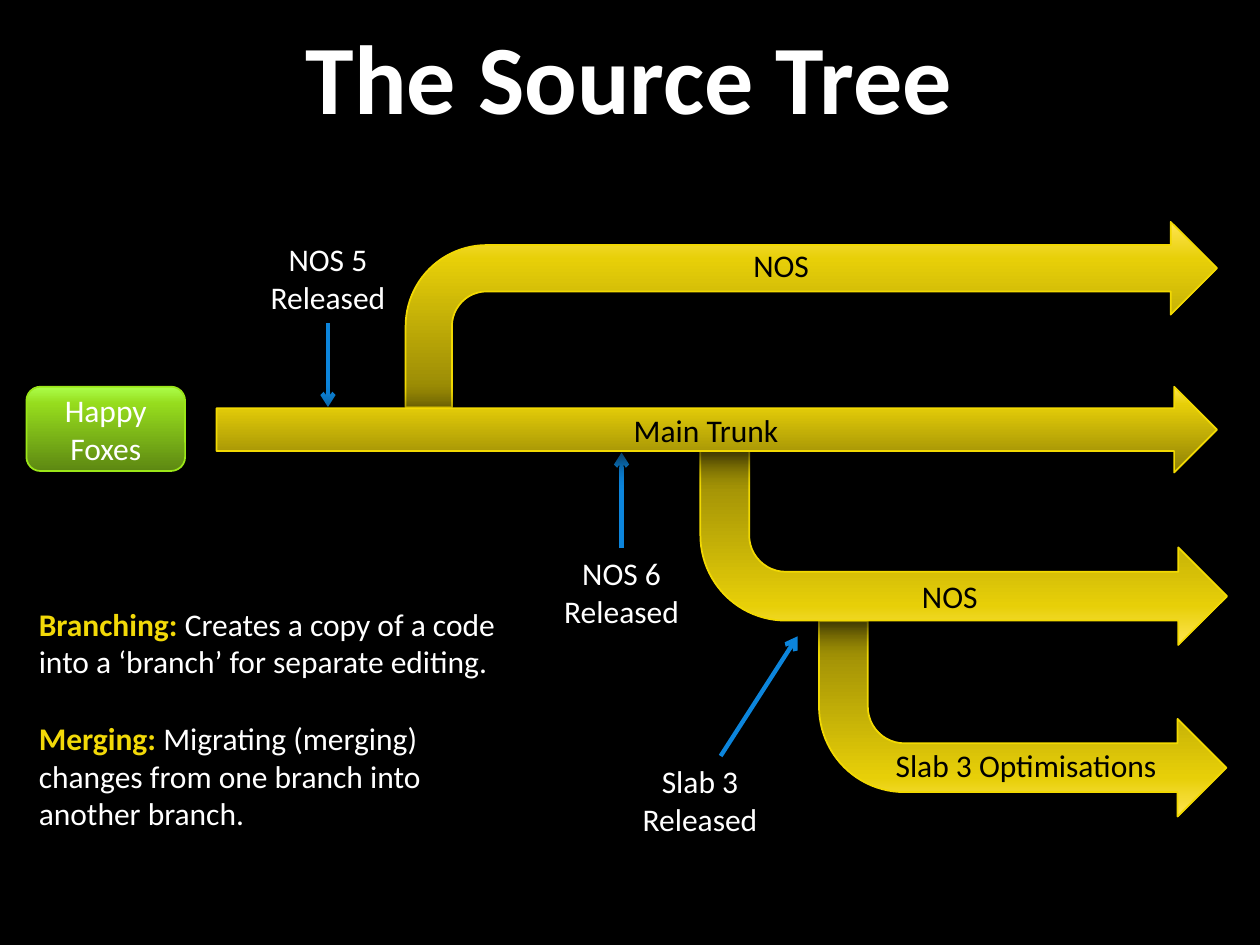
from copy import deepcopy

from lxml.etree import SubElement
from pptx import Presentation
from pptx.dml.color import RGBColor
from pptx.enum.shapes import MSO_CONNECTOR as Connector, MSO_SHAPE as Preset
from pptx.enum.text import MSO_ANCHOR as Anchor, PP_ALIGN as Align
from pptx.oxml.ns import qn
from pptx.util import Pt

FONT = "Calibri"
WHITE, BLACK, YELLOW, BLUE = "FFFFFF", "000000", "F2D908", "0C85DC"
GOLD_STOPS, GOLD_LINE = ("8F8105", "E7CF08", "FFE552"), "F2D902"
GREEN_STOPS, GREEN_LINE = ("5D8812", "96DC1D", "ACFF4A"), "9BE618"


def paint(color_format, value):
    color_format.rgb = RGBColor.from_string(value)


def add_run(paragraph, text, color, size=18, bold=False):
    run = paragraph.add_run()
    run.text = text
    run.font.name = FONT
    run.font.size = Pt(size)
    run.font.bold = bold
    paint(run.font.color, color)


def add_text_box(slide, left, top, width, height, paragraphs, align=Align.LEFT,
                 wrap=True, size=18, anchor=Anchor.TOP, gap=0):
    """Each paragraph is a list of (text, color, bold) runs."""
    box = slide.shapes.add_textbox(Pt(left), Pt(top), Pt(width), Pt(height))
    frame = box.text_frame
    frame.word_wrap = wrap
    frame.vertical_anchor = anchor
    for index, runs in enumerate(paragraphs):
        paragraph = frame.add_paragraph() if index else frame.paragraphs[0]
        paragraph.alignment = align
        if index:
            paragraph.space_before = Pt(gap)
        for text, color, bold in runs:
            add_run(paragraph, text, color, size, bold)
    return box


def add_label(slide, left, top, width, text):
    add_text_box(slide, left, top, width, 29, [[(text, BLACK, False)]], wrap=False)


def add_release(slide, left, top, name):
    lines = [[(text, WHITE, False)] for text in (name, "Released")]
    return add_text_box(slide, left, top, 90, 51, lines, Align.CENTER)


def set_gradient(shape, colors):
    """Three stops, running from the bottom edge to the top edge."""
    shape.fill.gradient()
    shape.fill.gradient_angle = 90
    stop_list = shape._element.spPr.find(qn("a:gradFill")).find(qn("a:gsLst"))
    stop_list.append(deepcopy(stop_list[-1]))
    for stop, color, position in zip(shape.fill.gradient_stops, colors, (0, 0.8, 1)):
        paint(stop.color, color)
        stop.position = position


def set_shadow(shape):
    shape.shadow.inherit = False
    effects = shape._element.spPr.find(qn("a:effectLst"))
    shadow = SubElement(effects, qn("a:outerShdw"), blurRad=str(Pt(18)),
                        dist=str(Pt(3)), dir="5400000", rotWithShape="0")
    color = SubElement(shadow, qn("a:srgbClr"), val=BLACK)
    SubElement(color, qn("a:alpha"), val="80000")


def add_glossy_shape(slide, preset, left, top, width, height, text="",
                     text_color=BLACK, stops=GOLD_STOPS, line=GOLD_LINE, flip=False):
    shape = slide.shapes.add_shape(preset, Pt(left), Pt(top), Pt(width), Pt(height))
    set_gradient(shape, stops)
    paint(shape.line.fill_format.fore_color if hasattr(shape.line, "fill_format")
          else shape.line.color, line)
    shape.line.width = Pt(1)
    set_shadow(shape)
    if flip:
        shape._element.spPr.find(qn("a:xfrm")).set("flipV", "1")
    if text:
        shape.text_frame.vertical_anchor = Anchor.MIDDLE
        paragraph = shape.text_frame.paragraphs[0]
        paragraph.alignment = Align.CENTER
        add_run(paragraph, text, text_color)


def add_pointer(slide, start, end, box=None, site=0):
    points = [Pt(value) for value in (*start, *end)]
    pointer = slide.shapes.add_connector(Connector.STRAIGHT, *points)
    if box is not None:
        pointer.begin_connect(box, site)
    paint(pointer.line.color, BLUE)
    pointer.line.width = Pt(2.5)
    SubElement(pointer.line._get_or_add_ln(), qn("a:tailEnd"), type="arrow")
    SubElement(pointer._element.spPr, qn("a:effectLst"))


def main():
    presentation = Presentation()
    presentation.slide_width, presentation.slide_height = Pt(720), Pt(540)
    slide = presentation.slides.add_slide(presentation.slide_layouts[6])
    slide.background.fill.solid()
    paint(slide.background.fill.fore_color, BLACK)

    # Lowest branch lies behind everything else
    add_glossy_shape(slide, Preset.BENT_ARROW, 468, 355, 232.8, 111.6, flip=True)

    # Title and product
    add_text_box(slide, 61, 8.6, 597, 69, [[("The Source Tree", WHITE, True)]],
                 Align.CENTER, size=56, anchor=Anchor.MIDDLE)
    add_glossy_shape(slide, Preset.ROUNDED_RECTANGLE, 15.1, 221, 90.7, 48.2,
                     "Happy Foxes", WHITE, GREEN_STOPS, GREEN_LINE)

    # Upper branch with its release
    release = add_release(slide, 142.4, 133.8, "NOS 5")
    add_pointer(slide, (187.4, 184.8), (187.4, 232.6), release, 2)
    add_glossy_shape(slide, Preset.BENT_ARROW, 231.8, 126.8, 463.7, 106)
    add_label(slide, 423.4, 136.8, 55.4, "NOS 4")

    # Lower branch with its release, then the trunk over both
    release = add_release(slide, 310.2, 313.2, "NOS 6")
    add_pointer(slide, (355.2, 313.2), (355.2, 258.6), release, 0)
    add_glossy_shape(slide, Preset.BENT_ARROW, 400.2, 257, 301, 111.6, flip=True)
    add_glossy_shape(slide, Preset.RIGHT_ARROW, 123.8, 221, 571.7, 49, "Main Trunk")
    add_label(slide, 519.8, 326.2, 55.4, "NOS 5")

    # Lowest branch's label and release
    add_label(slide, 504.7, 422.6, 170.6, "Slab 3 Optimisations")
    add_release(slide, 355, 432, "Slab 3")
    add_pointer(slide, (411.8, 432), (455.8, 363.6))

    # Definitions
    add_text_box(slide, 15.1, 342, 283, 160, [
        [("Branching: ", YELLOW, True),
         ("Creates a copy of a code into a ‘branch’ for separate editing.", WHITE, False)],
        [("Merging:", YELLOW, True),
         (" Migrating (merging) changes from one branch into another branch.",
          WHITE, False)],
    ], gap=22)

    presentation.save("out.pptx")


if __name__ == "__main__":
    main()
